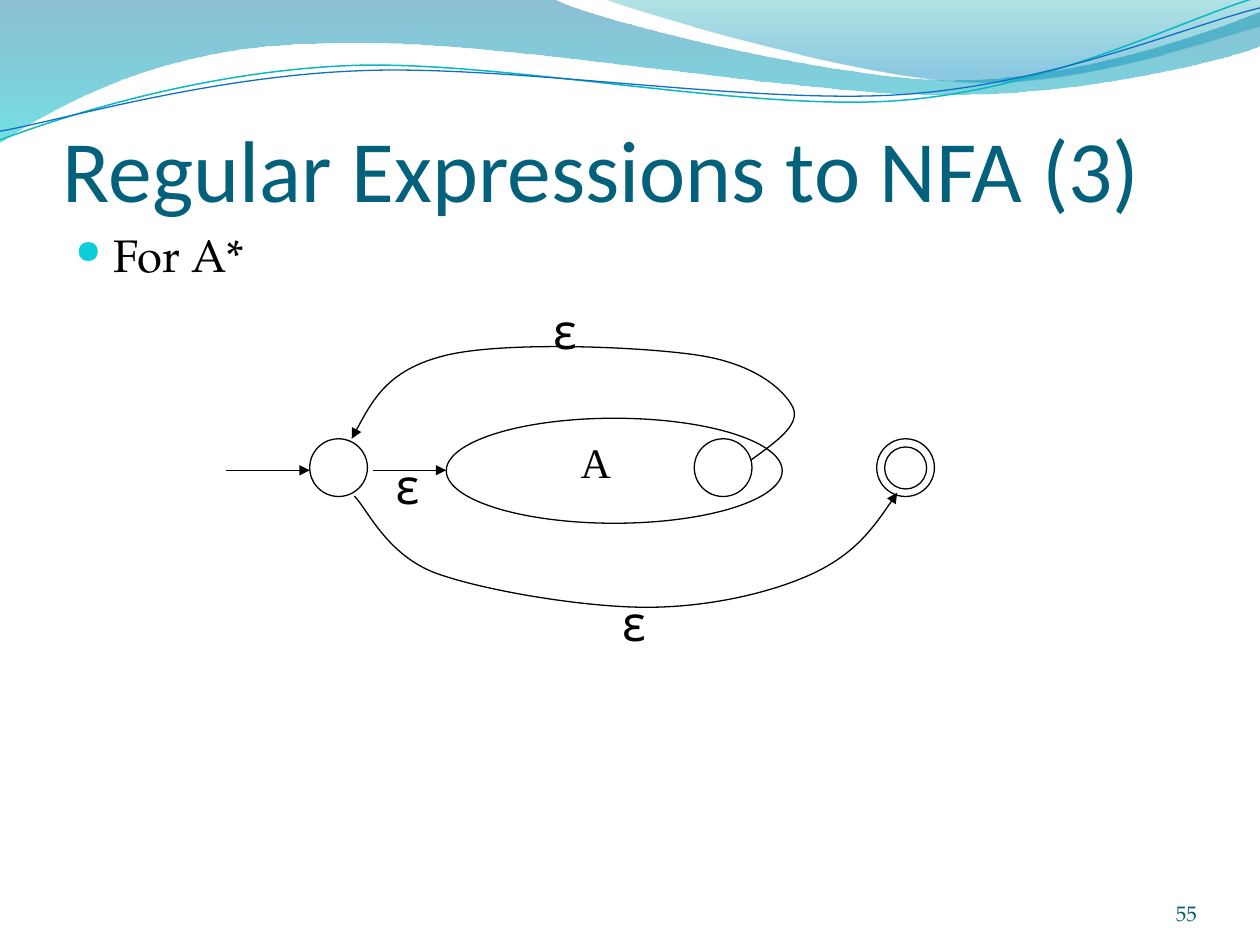
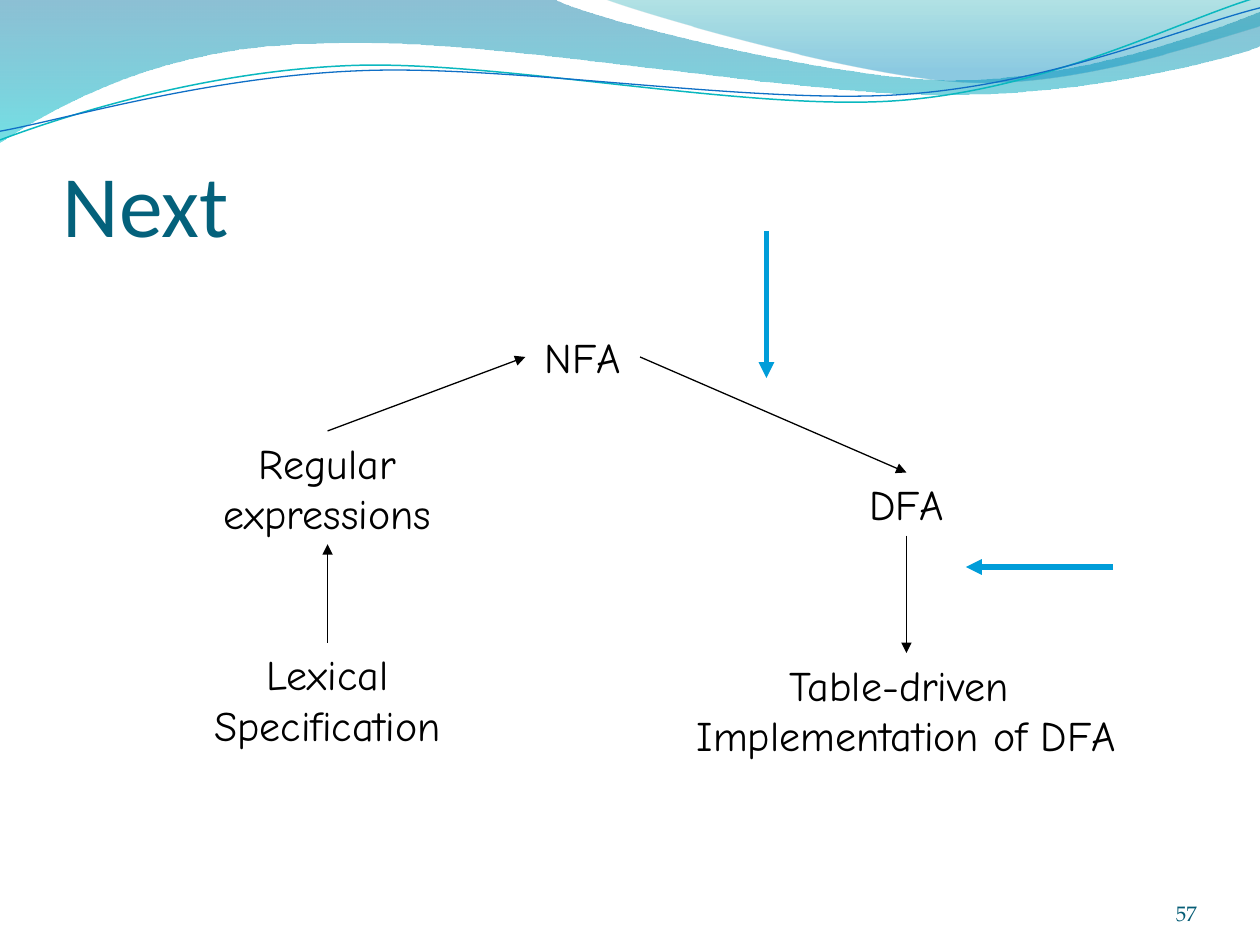
from dataclasses import dataclass
from math import cos, radians, sin

from pptx import Presentation
from pptx.dml.color import RGBColor
from pptx.enum.shapes import MSO_CONNECTOR, MSO_SHAPE
from pptx.enum.text import MSO_ANCHOR, MSO_AUTO_SIZE, PP_ALIGN
from pptx.oxml.ns import qn
from pptx.util import Pt
from lxml import etree

OVAL = MSO_SHAPE.OVAL
STRAIGHT = MSO_CONNECTOR.STRAIGHT
TOP, BOTTOM = MSO_ANCHOR.TOP, MSO_ANCHOR.BOTTOM
FIT, FIXED = MSO_AUTO_SIZE.SHAPE_TO_FIT_TEXT, MSO_AUTO_SIZE.NONE
LEFT, CENTER, RIGHT = PP_ALIGN.LEFT, PP_ALIGN.CENTER, PP_ALIGN.RIGHT


@dataclass(frozen=True)
class Theme:
    ink: str = "000000"
    title: str = "04617B"
    number: str = "045C75"
    bullet: str = "0BD0D9"
    accent: str = "009DD9"
    teal: str = "0AB8BF"
    blue: str = "0F6FC6"
    head: str = "Calibri"
    body: str = "TeX Gyre Pagella"
    hand: str = "Comic Neue"
    serif: str = "Times New Roman"
    title_size: float = 50
    body_size: float = 26
    label_size: float = 24
    mark_size: float = 28
    number_size: float = 12
    thin: float = 0.75
    thick: float = 3


THEME = Theme()
TILT = 2.7

# Paths hold a start point, then line ends (x, y) or cubic curves (six values).
# Gradient stops are (position, colour, opacity in percent).
BANDS = [
    ([(0, -0.5), (317, -0.5), (342.5, 12, 478, 45.5, 546, 45.5),
      (614, 45.5, 690, 18.5, 720, 6.5), (720.5, 26),
      (708, 31.5, 626.5, 54.5, 537, 54), (448, 54, 275, 20, 185, 24.5),
      (93, 25, 33, 60, -0.5, 81.5), (0, -0.5)],
     [(0, "0074A1", 45), (1, "00C6CF", 55)]),
    ([(345, -0.5), (366.5, 8, 491, 44.5, 553.5, 47),
      (616.5, 49.5, 692, 23, 720, 15), (720, 0), (345, -0.5)],
     [(0, "00A1A9", 30), (0.8, "008BBF", 45)]),
]
# Each wave also has the centre that it is tilted about.
WAVES = [
    ([(0, 80), (34.5, 67, 114, 41, 199.5, 37.5),
      (284.5, 34, 427, 64, 513.5, 57.5), (600, 51, 675.5, 11, 718.5, -1.5)],
     (359.3, 41.4), THEME.teal, 0.85),
    ([(0, 75), (34, 69, 118, 44, 204, 40.5),
      (290, 36.5, 430, 60, 516, 54), (602, 48, 677.5, 15, 720, 4.5)],
     (359.6, 42.5), THEME.blue, THEME.thin),
]
SKIP = [(202.5, 283.5), (210, 291, 221, 317, 249, 327.5),
        (276.5, 337.5, 333.5, 347, 369.5, 347),
        (405.5, 347, 441.5, 338.5, 465, 327.5),
        (489, 316, 501, 299, 512.7, 281.5)]
LOOP = [(429, 263), (443.5, 252.5, 458, 242.5, 453, 232.5),
        (448, 223, 432, 208, 399, 203), (366, 198, 288, 195, 255, 203),
        (222, 211, 211.5, 231, 201, 250.75)]


def put(item, values):
    for name, value in values.items():
        setattr(item, name, value)


def add_xml(parent, tag, **values):
    return etree.SubElement(parent, qn(tag), values)


def ink(line, color, width, arrow=False):
    line.color.rgb = RGBColor.from_string(color)
    line.width = Pt(width)
    if arrow:
        add_xml(line._get_or_add_ln(), "a:tailEnd", type="triangle")


def turn(path, center, angle):
    """Rotate every point of a path clockwise about the centre."""
    c, s = cos(radians(angle)), sin(radians(angle))
    turned = []
    for part in path:
        moved = []
        for x, y in zip(part[::2], part[1::2]):
            dx, dy = x - center[0], y - center[1]
            moved += [center[0] + dx * c - dy * s, center[1] + dx * s + dy * c]
        turned.append(moved)
    return turned


def add_path(slide, path, close=False):
    """Add a freeform, joining each three points of a curve into one cubic."""
    points = [(Pt(x), Pt(y)) for part in path
              for x, y in zip(part[::2], part[1::2])]
    maker = slide.shapes.build_freeform(*points[0])
    maker.add_line_segments(points[1:], close=close)
    shape = maker.convert_to_shape()
    shape.shadow.inherit = False
    lines = iter(list(shape._element.iter(qn("a:lnTo"))))
    for part in path[1:]:
        line = next(lines)
        if len(part) == 6:
            curve = etree.Element(qn("a:cubicBezTo"))
            line.addprevious(curve)
            for step in (line, next(lines), next(lines)):
                curve.append(step[0])
                step.getparent().remove(step)
    return shape


def add_band(slide, path, stops):
    shape = add_path(slide, path, close=True)
    shape.line.fill.background()
    shape.fill.gradient()
    shape.fill.gradient_angle = 270
    for stop, (place, color, _) in zip(shape.fill.gradient_stops, stops):
        stop.position = place
        stop.color.rgb = RGBColor.from_string(color)
    tints = shape._element.spPr.iter(qn("a:srgbClr"))
    for tint, (_, _, alpha) in zip(list(tints), stops):
        add_xml(tint, "a:alpha", val=str(alpha * 1000))


def add_curve(slide, path, color=THEME.ink, width=THEME.thin, arrow=False):
    shape = add_path(slide, path)
    shape.fill.background()
    ink(shape.line, color, width, arrow)
    return shape


def add_oval(slide, *box):
    shape = slide.shapes.add_shape(OVAL, *map(Pt, box))
    shape.shadow.inherit = False
    shape.fill.background()
    ink(shape.line, THEME.ink, THEME.thin)


def add_arrow(slide, start, end, color=THEME.ink, width=THEME.thin):
    line = slide.shapes.add_connector(STRAIGHT, *map(Pt, start + end))
    ink(line.line, color, width, arrow=True)
    add_xml(line._element.spPr, "a:effectLst")


def add_text(slide, box, text, font, size, color=THEME.ink, align=LEFT, **frame):
    """Add a text box with one paragraph for each line of text."""
    area = slide.shapes.add_textbox(*map(Pt, box)).text_frame
    put(area, {"word_wrap": True, "auto_size": FIXED,
               "vertical_anchor": TOP, **frame})
    for index, words in enumerate(text.split("\n")):
        para = area.add_paragraph() if index else area.paragraphs[0]
        para.alignment = align
        run = para.add_run()
        run.text = words
        put(run.font, {"name": font, "size": Pt(size)})
        run.font.color.rgb = RGBColor.from_string(color)
    return area


def add_label(slide, box, text, font=THEME.hand, size=THEME.label_size,
              align=CENTER):
    add_text(slide, box, text, font, size, align=align,
             word_wrap=False, auto_size=FIT)


def add_bullet(slide, box, text):
    area = add_text(slide, box, text, THEME.body, THEME.body_size)
    props = area.paragraphs[0]._p.get_or_add_pPr()
    hang = str(Pt(21.6))
    props.set("marL", hang)
    props.set("indent", "-" + hang)
    add_xml(add_xml(props, "a:buClr"), "a:srgbClr", val=THEME.bullet)
    add_xml(props, "a:buSzPct", val="72000")
    add_xml(props, "a:buChar", char="●")


def add_page(deck, title, top, number):
    """Add a slide with its waves, title and number."""
    slide = deck.slides.add_slide(deck.slide_layouts[6])
    for path, stops in BANDS:
        add_band(slide, path, stops)
    for path, center, color, width in WAVES:
        wave = add_curve(slide, turn(path, center, TILT), color, width)
        wave.rotation = -TILT
    flush = {"margin_left": 0, "margin_right": 0, "margin_bottom": 0,
             "vertical_anchor": BOTTOM}
    add_text(slide, (624.25, 500.5, 59.75, 28.75), number, THEME.body,
             THEME.number_size, THEME.number, RIGHT, margin_top=0, **flush)
    add_text(slide, (36, top, 648, 90), title, THEME.head,
             THEME.title_size, THEME.title, **flush)
    return slide


def draw_star(deck):
    slide = add_page(deck, "Regular Expressions to NFA (3)", 36, "55")
    add_bullet(slide, (36, 126, 654, 48), "For A*")
    add_oval(slide, 255, 239, 192, 60)
    add_label(slide, (324.7, 245.75, 31.7, 36), "A", THEME.serif, align=LEFT)
    for left in (177, 396.75, 501):
        add_oval(slide, left, 250.75, 33, 33)
    add_oval(slide, 505.5, 255.4, 24, 24)
    for start, end in ((129, 177), (213, 255)):
        add_arrow(slide, (start, 268.75), (end, 268.75))
    for path in (SKIP, LOOP):
        add_curve(slide, path, arrow=True)
    for left, top in ((219, 257), (348.5, 335), (309, 168)):
        add_label(slide, (left, top, 26.6, 41), "ε", size=THEME.mark_size,
                  align=LEFT)


def draw_next(deck):
    slide = add_page(deck, "Next", 55.5, "57")
    for box, text in (
        ((114, 246.25, 146.2, 64.8), "Regular\nexpressions"),
        ((300.2, 186, 65.5, 36), "NFA"),
        ((486, 270, 64, 36), "DFA"),
        ((105.8, 367.2, 162.7, 64.8), "Lexical\nSpecification"),
        ((378.5, 373.2, 278.6, 64.8), "Table-driven \nImplementation of DFA"),
    ):
        add_label(slide, box, text)
    for start, end in (
        ((187.2, 367.2), (187.2, 311)),
        ((187.2, 246.25), (300.2, 204)),
        ((365.75, 204), (518, 270)),
        ((518, 306), (518, 373.2)),
    ):
        add_arrow(slide, start, end)
    for start, end in (((438, 132), (438, 216)), ((636, 324), (552, 324))):
        add_arrow(slide, start, end, THEME.accent, THEME.thick)


def main():
    deck = Presentation()
    put(deck, {"slide_width": Pt(720), "slide_height": Pt(540)})
    draw_star(deck)
    draw_next(deck)
    deck.save("out.pptx")


if __name__ == "__main__":
    main()
